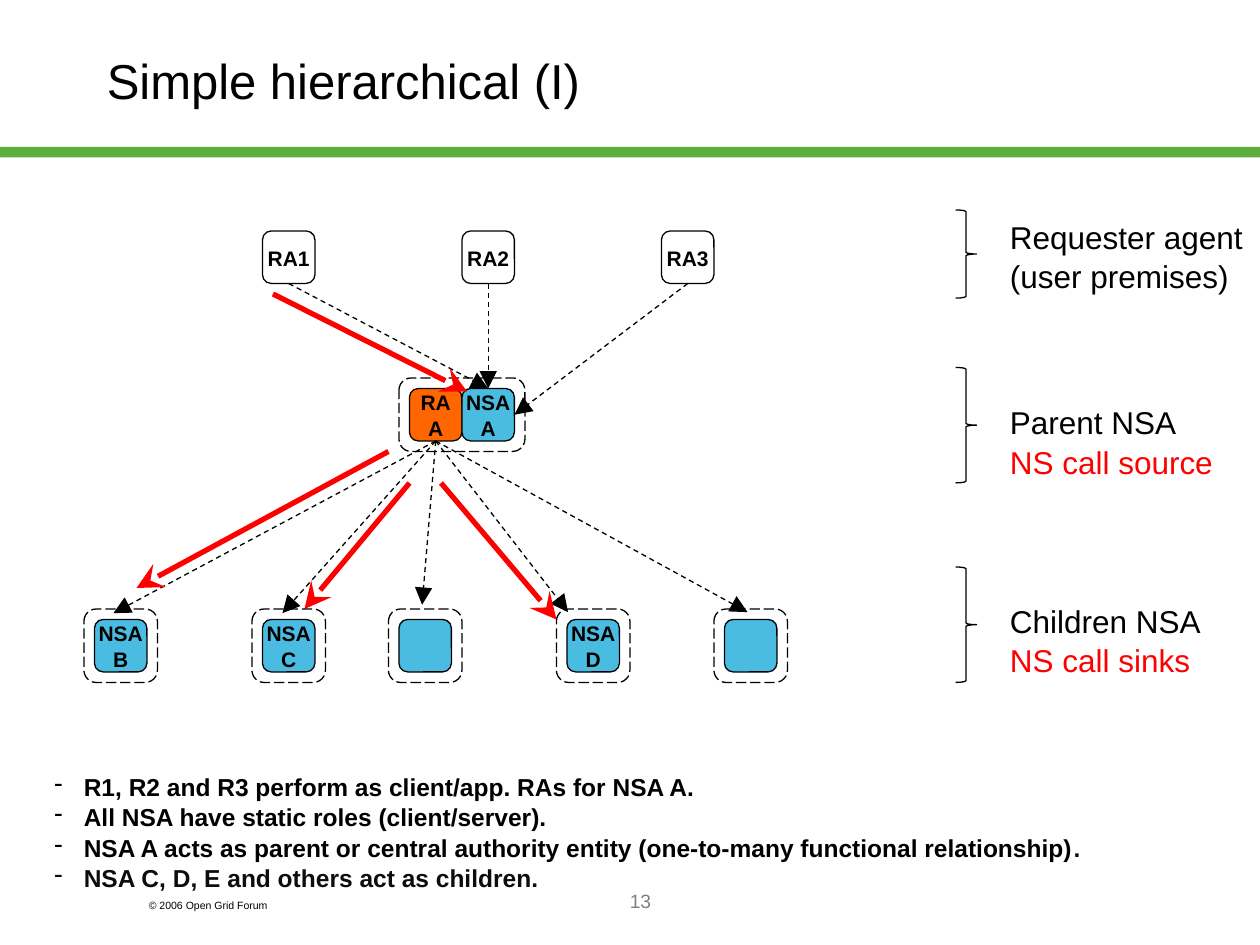
from lxml import etree
from pptx import Presentation
from pptx.dml.color import RGBColor
from pptx.enum import dml, shapes, text
from pptx.oxml import ns
from pptx.util import Inches, Pt

THEME = {
    "font": "Arial", "black": "000000", "ink": "0D0D0D", "gray": "808080",
    "white": "FFFFFF", "red": "FF0000", "green": "5DAD41", "orange": "FF6600",
    "blue": "4BBCE1", "title": 28, "label": 18, "bullet": 14, "node": 12,
    "number": 11, "footer": 6, "thin": 0.75, "thick": 3, "spacing": 1.04,
}

presentation = Presentation()
presentation.slide_width, presentation.slide_height = Inches(10), Inches(7.5)
slide = presentation.slides.add_slide(presentation.slide_layouts[6])
COLUMN = presentation.slide_width / 120
ROW = presentation.slide_height / 90


def add_box(kind, column, row, columns, rows, fill=None, dash=None, lines=(), size="label",
            bold=False, align=text.PP_ALIGN.LEFT, anchor=text.MSO_ANCHOR.TOP):
    area = [round(v) for v in (column * COLUMN, row * ROW, columns * COLUMN, rows * ROW)]
    if kind is None:
        shape = slide.shapes.add_textbox(*area)
    else:
        shape = slide.shapes.add_shape(kind, *area)
        shape.shadow.inherit = False
        shape.line.color.rgb = RGBColor.from_string(THEME["black"])
        shape.line.width = Pt(THEME["thin"])
        shape.line.dash_style = dash
        if fill:
            shape.fill.solid()
            shape.fill.fore_color.rgb = RGBColor.from_string(THEME[fill])
        else:
            shape.fill.background()
    frame = shape.text_frame
    frame.word_wrap = True
    frame.vertical_anchor = anchor
    if kind is not None:
        frame.margin_left = frame.margin_right = frame.margin_top = frame.margin_bottom = 0
    for index, (words, color) in enumerate(lines):
        paragraph = frame.paragraphs[0] if index == 0 else frame.add_paragraph()
        paragraph.text = words
        paragraph.alignment = align
        paragraph.line_spacing = THEME["spacing"]
        paragraph.font.name = THEME["font"]
        paragraph.font.size = Pt(THEME[size])
        paragraph.font.bold = bold
        paragraph.font.color.rgb = RGBColor.from_string(THEME[color])
    return shape


def add_arrow(start, end, color="black", width="thin", dash=None, head="triangle"):
    points = [round(v) for x, y in (start, end) for v in (x * COLUMN, y * ROW)]
    arrow = slide.shapes.add_connector(shapes.MSO_CONNECTOR.STRAIGHT, *points)
    arrow.line.color.rgb = RGBColor.from_string(THEME[color])
    arrow.line.width = Pt(THEME[width])
    arrow.line.dash_style = dash
    etree.SubElement(arrow.line._get_or_add_ln(), ns.qn("a:tailEnd"), type=head, w="lg", len="lg")
    etree.SubElement(arrow._element.spPr, ns.qn("a:effectLst"))
    return arrow


ROUNDED = shapes.MSO_SHAPE.ROUNDED_RECTANGLE
DASH = dml.MSO_LINE.DASH
LONG_DASH = dml.MSO_LINE.LONG_DASH
CENTER = text.PP_ALIGN.CENTER
MIDDLE = text.MSO_ANCHOR.MIDDLE
NODE = 5

band = add_box(shapes.MSO_SHAPE.RECTANGLE, 0, 14, 120, 1, "green")
band.line.fill.background()
add_box(None, 9, 0, 102, 15, lines=[("Simple hierarchical (I)", "black")], size="title", anchor=MIDDLE)
add_box(None, 13, 85, 18, 2.4, lines=[("© 2006 Open Grid Forum", "black")], size="footer")
add_box(None, 26, 84, 70, 6, lines=[("13", "gray")], size="number", align=CENTER)

nodes = {}
for name, column, row, fill in [
    ("RA\vA", 39, 37, "orange"), ("NSA\vA", 44, 37, "blue"),
    ("RA1", 25, 22, "white"), ("RA2", 44, 22, "white"), ("RA3", 63, 22, "white"),
]:
    nodes[name] = add_box(ROUNDED, column, row, NODE, NODE, fill, lines=[(name, "black")],
                          size="node", bold=True, align=CENTER, anchor=MIDDLE)
add_box(ROUNDED, 38, 36, 12, 7, dash=LONG_DASH)

for name, column, end, side in [
    ("RA1", 27.5, (46.5, 37), 0), ("RA2", 46.5, (46.5, 37), 0), ("RA3", 65.5, (49, 39.5), 3),
]:
    request = add_arrow((column, 27), end, dash=DASH)
    request.begin_connect(nodes[name], 2)
    request.end_connect(nodes["NSA\vA"], side)

for end in [(10.8, 58.4), (26.9, 58.4), (40.2, 57.6), (54.1, 58.3), (71.2, 58.3)]:
    call = add_arrow((41.5, 42), end, dash=DASH)
    call.begin_connect(nodes["RA\vA"], 2)

for start, end in [
    ((26, 28), (44.5, 37.3)), ((37, 43), (13, 56)), ((39, 46), (29, 58)), ((42, 46), (53, 59)),
]:
    add_arrow(start, end, "red", "thick", head="stealth")

for column, name in [(9, "NSA\vB"), (25, "NSA\vC"), (38, ""), (54, "NSA\vD"), (69, "")]:
    add_box(ROUNDED, column, 59, NODE, NODE, "blue", lines=[(name, "black")] if name else (),
            size="node", bold=True, align=CENTER, anchor=MIDDLE)
    add_box(ROUNDED, column - 1, 58, NODE + 2, NODE + 2, dash=LONG_DASH)

for brace_row, brace_rows, label_row, lines in [
    (20, 8.4, 20, [("Requester agent (user premises)", "black")]),
    (35, 11, 37.7, [("Parent NSA", "black"), ("NS call source", "red")]),
    (54, 11, 56.6, [("Children NSA", "black"), ("NS call sinks", "red")]),
]:
    add_box(shapes.MSO_SHAPE.RIGHT_BRACE, 91, brace_row, 2, brace_rows)
    add_box(None, 95, label_row, 25, 8.4, lines=lines)

notes = add_box(None, 4, 72.8, 103, 15.2, size="bullet", bold=True, lines=[
    ("R1, R2 and R3 perform as client/app. RAs for NSA A.", "black"),
    ("All NSA have static roles (client/server).", "black"),
    ("NSA A acts as parent or central authority entity (one-to-many functional relationship)", "black"),
    ("NSA C, D, E and others act as children.", "ink"),
])
for paragraph in notes.text_frame.paragraphs:
    properties = paragraph._p.get_or_add_pPr()
    hang = round(2.8 * COLUMN)
    properties.set("marL", str(hang))
    properties.set("indent", str(-hang))
    bullet = etree.Element(ns.qn("a:buChar"), char="-")
    properties.find(ns.qn("a:defRPr")).addprevious(bullet)
period = notes.text_frame.paragraphs[2].add_run()
period.text = "."
period.font.color.rgb = RGBColor.from_string(THEME["ink"])

presentation.save("out.pptx")
